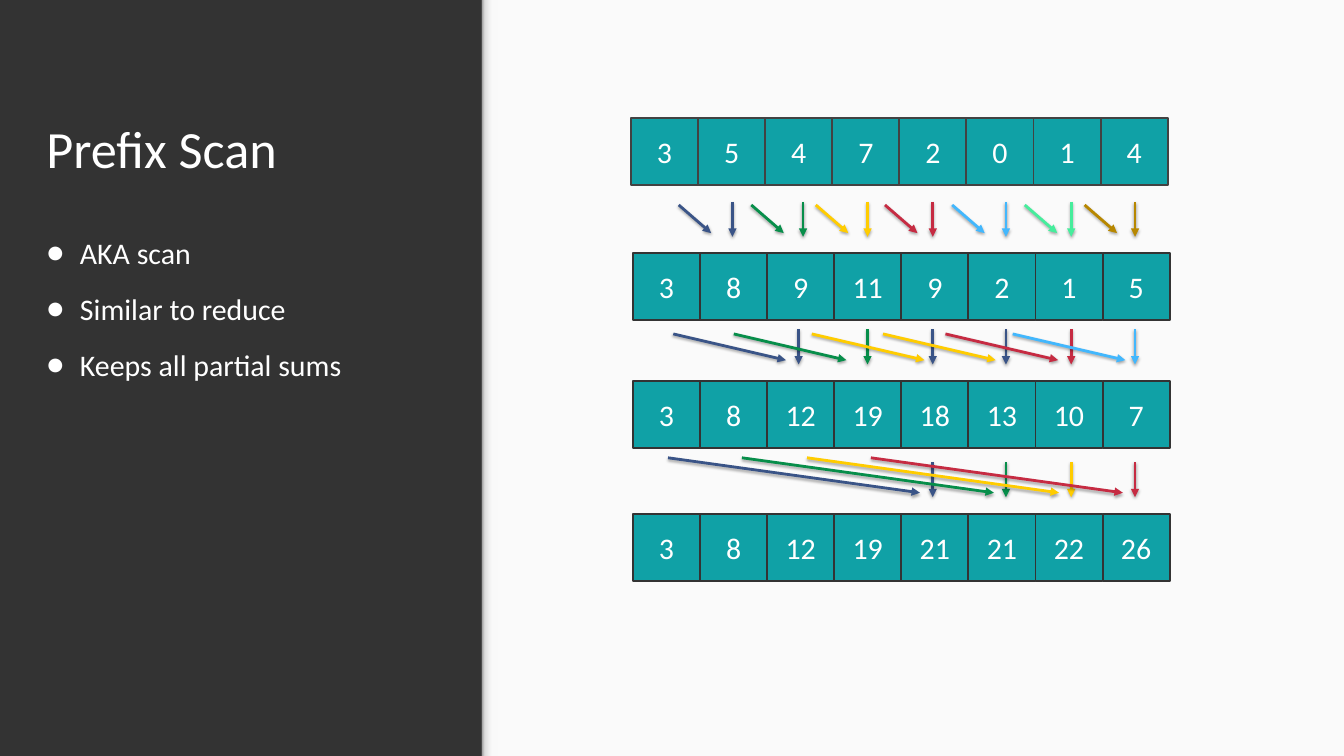
from copy import deepcopy
from dataclasses import dataclass

from lxml import etree
from pptx import Presentation
from pptx import util as u
from pptx.dml.color import RGBColor
from pptx.enum import shapes, text
from pptx.oxml import parse_xml
from pptx.oxml.ns import nsdecls, qn

BLUE, GREEN, YELLOW, RED = "3A5487", "078E4A", "FFCC00", "C62B42"
SKY, MINT, GOLD = "42B7FD", "46ED9C", "B78700"


@dataclass(frozen=True)
class Theme:
    font: str = "Calibri"
    title_size: float = 56
    body_size: float = 32
    dark: str = "333333"
    light: str = "FAFAFA"
    cell: str = "10A1A6"
    first_row_line: str = "424242"
    text: str = "FFFFFF"
    panel_edge: tuple = ((0, "999999"), (0.2, "DEDEDE"), (0.64, "F9F9F9"), (1, "F9F9F9"))


WIDTH, HEIGHT = 1440, 810
PANEL_LEFT = 516.24
CELL_PITCH, CELL_HEIGHT = 71.88, 72

# left, top, values
ROWS = [
    (676.1, 126.2, [3, 5, 4, 7, 2, 0, 1, 4]),
    (678.2, 270.9, [3, 8, 9, 11, 9, 2, 1, 5]),
    (678.2, 408.2, [3, 8, 12, 19, 18, 13, 10, 7]),
    (678.2, 550.4, [3, 8, 12, 19, 21, 21, 22, 26]),
]


@dataclass(frozen=True)
class ScanStep:
    """Arrows between two rows: straight down, and slanting from earlier cells."""
    down_top: float
    down_x: list
    down_colors: list
    slant_top: float
    slant_width: float
    slant_height: float
    slant_starts: list
    slant_colors: list


FIRST_COLORS = [BLUE, GREEN, YELLOW, RED, SKY, MINT, GOLD]
LAST_COLORS = [BLUE, GREEN, YELLOW, RED]
DOWN_LENGTH = 37.5
# Downward arrows into the last four columns, present in every step
LAST_DOWN_X = [999.4, 1077.8, 1147.7, 1216.1]
STEPS = [
    ScanStep(216.2, [784.8, 860.4, 929.5, *LAST_DOWN_X], FIRST_COLORS,
             219.6, 34.8, 30.2,
             [727.2, 805, 874.1, 948.2, 1020.2, 1098, 1162.1], FIRST_COLORS),
    ScanStep(353, [855.7, 929.5, *LAST_DOWN_X], [BLUE, GREEN, BLUE, BLUE, RED, SKY],
             357.8, 120.7, 28.1,
             [721.4, 786.2, 869.8, 946.1, 1013, 1085],
             [BLUE, GREEN, YELLOW, YELLOW, RED, SKY]),
    ScanStep(495.2, LAST_DOWN_X, LAST_COLORS, 490.5, 270, 37.5,
             [715.7, 794.9, 864.7, 933.1], LAST_COLORS),
]


def rgb(value):
    return RGBColor.from_string(value)


def add_bullet(paragraph, character, color, font):
    properties = paragraph._p.get_or_add_pPr()
    properties.set("marL", str(u.Pt(36)))
    properties.set("indent", str(u.Pt(-36)))
    bullet_color = etree.SubElement(properties, qn("a:buClr"))
    etree.SubElement(bullet_color, qn("a:srgbClr")).set("val", color)
    etree.SubElement(properties, qn("a:buFont")).set("typeface", font)
    etree.SubElement(properties, qn("a:buChar")).set("char", character)


def write_text(frame, content, *, size, color, font, align=text.PP_ALIGN.LEFT,
               anchor=text.MSO_ANCHOR.TOP, inset=0, bullet=None,
               line_spacing=None, space_after=None):
    """Fill a text frame, one paragraph for each line of content."""
    frame.word_wrap = True
    frame.vertical_anchor = anchor
    frame.margin_left = frame.margin_right = u.Pt(inset)
    frame.margin_top = frame.margin_bottom = u.Pt(inset)
    for index, line in enumerate(content.split("\n")):
        paragraph = frame.add_paragraph() if index else frame.paragraphs[0]
        paragraph.alignment = align
        if line_spacing:
            paragraph.line_spacing = line_spacing
        if space_after:
            paragraph.space_after = u.Pt(space_after)
        if bullet:
            add_bullet(paragraph, bullet, color, font)
        run = paragraph.add_run()
        run.text = line
        run.font.name = font
        run.font.size = u.Pt(size)
        run.font.color.rgb = rgb(color)


class SlideBuilder:
    def __init__(self, slide, theme):
        self.slide = slide
        self.theme = theme

    def background(self, color):
        fill = self.slide.background.fill
        fill.solid()
        fill.fore_color.rgb = rgb(color)

    def rectangle(self, left, top, width, height, fill=None, line=None):
        shape = self.slide.shapes.add_shape(
            shapes.MSO_SHAPE.RECTANGLE,
            u.Pt(left), u.Pt(top), u.Pt(width), u.Pt(height))
        shape.shadow.inherit = False
        if fill:
            shape.fill.solid()
            shape.fill.fore_color.rgb = rgb(fill)
        if line:
            shape.line.color.rgb = rgb(line)
            shape.line.width = u.Pt(2)
        else:
            shape.line.fill.background()
        return shape

    def gradient_strip(self, left, top, width, height, stops):
        """Rectangle shaded from left to right through the given stops."""
        shape = self.rectangle(left, top, width, height)
        shape.fill.gradient()
        shape.fill.gradient_angle = 0
        stop_list = shape._element.spPr.find(qn("a:gradFill")).find(qn("a:gsLst"))
        while len(stop_list) < len(stops):
            stop_list.append(deepcopy(stop_list[0]))
        for stop, (position, color) in zip(shape.fill.gradient_stops, stops):
            stop.position = position
            stop.color.rgb = rgb(color)

    def text_box(self, left, top, width, height, content, **text_format):
        box = self.slide.shapes.add_textbox(
            u.Pt(left), u.Pt(top), u.Pt(width), u.Pt(height))
        write_text(box.text_frame, content, color=self.theme.text,
                   font=self.theme.font, inset=14.4, **text_format)

    def cell_row(self, left, top, values, line):
        for column, value in enumerate(values):
            cell = self.rectangle(left + column * CELL_PITCH, top, CELL_PITCH,
                                  CELL_HEIGHT, self.theme.cell, line)
            write_text(cell.text_frame, str(value), size=self.theme.body_size,
                       color=self.theme.text, font=self.theme.font,
                       align=text.PP_ALIGN.CENTER, anchor=text.MSO_ANCHOR.MIDDLE)

    def arrow(self, left, top, width, height, color):
        connector = self.slide.shapes.add_connector(
            shapes.MSO_CONNECTOR.STRAIGHT, u.Pt(left), u.Pt(top),
            u.Pt(left + width), u.Pt(top + height))
        connector.line.color.rgb = rgb(color)
        connector.line.width = u.Pt(3)
        etree.SubElement(connector.line._get_or_add_ln(),
                         qn("a:tailEnd")).set("type", "triangle")
        connector._element.spPr.append(parse_xml(
            f'<a:effectLst {nsdecls("a")}>'
            '<a:outerShdw blurRad="40000" dist="23000" dir="5400000" rotWithShape="0">'
            '<a:srgbClr val="000000"><a:alpha val="35000"/></a:srgbClr>'
            '</a:outerShdw></a:effectLst>'))

    def scan_step(self, step):
        for x, color in zip(step.down_x, step.down_colors):
            self.arrow(x, step.down_top, 0, DOWN_LENGTH, color)
        for x, color in zip(step.slant_starts, step.slant_colors):
            self.arrow(x, step.slant_top, step.slant_width, step.slant_height, color)


def main():
    presentation = Presentation()
    presentation.slide_width = u.Pt(WIDTH)
    presentation.slide_height = u.Pt(HEIGHT)
    theme = Theme()
    slide = presentation.slides.add_slide(presentation.slide_layouts[6])
    builder = SlideBuilder(slide, theme)

    builder.background(theme.dark)
    builder.rectangle(PANEL_LEFT, 0, WIDTH - PANEL_LEFT, HEIGHT, theme.light)
    builder.gradient_strip(PANEL_LEFT, 0, 17.3, HEIGHT, theme.panel_edge)
    builder.text_box(35.3, 56.2, 442, 149.8, "Prefix Scan",
                     size=theme.title_size, anchor=text.MSO_ANCHOR.BOTTOM)
    builder.text_box(35.3, 230.7, 442, 130.3,
                     "AKA scan\nSimilar to reduce\nKeeps all partial sums",
                     size=theme.body_size, bullet="●",
                     line_spacing=1.15, space_after=16)

    for index, (left, top, values) in enumerate(ROWS):
        builder.cell_row(left, top, values,
                         theme.dark if index else theme.first_row_line)
    for step in STEPS:
        builder.scan_step(step)
    presentation.save("out.pptx")


if __name__ == "__main__":
    main()
